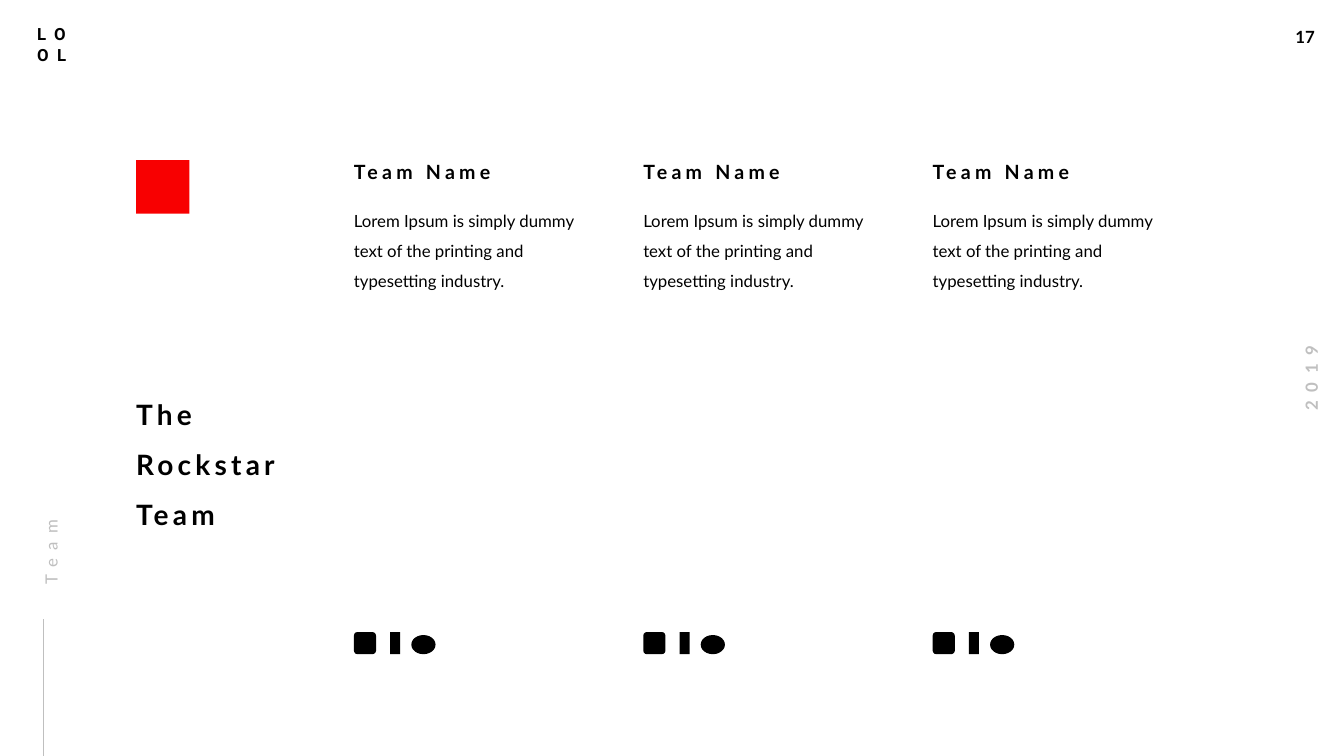
from lxml.etree import SubElement
from pptx import Presentation
from pptx.dml.color import RGBColor
from pptx.enum.shapes import MSO_CONNECTOR as Connector, MSO_SHAPE as Shape
from pptx.enum.text import MSO_ANCHOR as Anchor, MSO_AUTO_SIZE as AutoSize, PP_ALIGN as Align
from pptx.oxml.ns import qn
from pptx.util import Inches, Pt

BLACK = RGBColor(0x00, 0x00, 0x00)
WHITE = RGBColor(0xFF, 0xFF, 0xFF)
GRAY = RGBColor(0xBF, 0xBF, 0xBF)
RED = RGBColor(0xF8, 0x00, 0x01)

MASTER_INSETS = (0.1, 0.05, 0.1, 0.05)
CONTENT_INSETS = (0, 0, 0.1, 0)
COLUMN_LEFT = 3.51
COLUMN_PITCH = 2.87
MEMBERS = ["Team Name"] * 3
PROFILE = "Lorem Ipsum is simply dummy text of the printing and typesetting industry."
SOCIAL_MARKS = [
    (Shape.ROUNDED_RECTANGLE, 0, 6.27, 0.22, 0.22),
    (Shape.RECTANGLE, 0.36, 6.27, 0.1, 0.22),
    (Shape.OVAL, 0.57, 6.3, 0.24, 0.19),
]


def set_all(target, values):
    for name, value in values.items():
        setattr(target, name, value)


def place(shape, box):
    sides = ("left", "top", "width", "height")
    set_all(shape, dict(zip(sides, map(Inches, box))))


def write(frame, lines, size, color=BLACK, bold=False, font="Lato", tracking=0,
          insets=CONTENT_INSETS, wrap=True, **paragraph_format):
    margins = ("margin_left", "margin_top", "margin_right", "margin_bottom")
    set_all(frame, dict(zip(margins, map(Inches, insets))))
    set_all(frame, {"word_wrap": wrap, "auto_size": AutoSize.SHAPE_TO_FIT_TEXT,
                    "vertical_anchor": Anchor.TOP})
    for index, line in enumerate(lines):
        paragraph = frame.add_paragraph() if index else frame.paragraphs[0]
        set_all(paragraph, {"alignment": Align.LEFT, **paragraph_format})
        run = paragraph.add_run()
        run.text = line
        set_all(run.font, {"name": font, "size": Pt(size), "bold": bold})
        run.font.color.rgb = color
        if tracking:
            run._r.get_or_add_rPr().set("spc", str(tracking * 100))


def add_text(slide, box, lines, size, rotation=0, **text_format):
    label = slide.shapes.add_textbox(*map(Inches, box))
    label.rotation = rotation
    write(label.text_frame, lines, size, **text_format)


def add_block(slide, kind, box, color):
    block = slide.shapes.add_shape(kind, *map(Inches, box))
    block.shadow.inherit = False
    block.fill.solid()
    block.fill.fore_color.rgb = color
    block.line.fill.background()


def add_rule(slide, start, end):
    rule = slide.shapes.add_connector(Connector.STRAIGHT, *map(Inches, start + end))
    rule.line.color.rgb = GRAY
    rule.line.width = Pt(0.5)
    SubElement(rule._element.spPr, qn("a:effectLst"))


def add_title(slide, lines):
    title = slide.shapes.title
    place(title, (1.35, 3.94, 1.9, 1.35))
    write(title.text_frame, lines, 20, bold=True, tracking=3, space_before=Pt(12))


def add_member(slide, left, member):
    add_text(slide, (left, 1.59, 2.11, 0.24), [member], 14, bold=True,
             tracking=3, space_before=Pt(12))
    add_text(slide, (left, 1.99, 2.35, 0.87), [PROFILE], 12,
             line_spacing=1.5, space_before=Pt(12))
    for kind, offset, top, width, height in SOCIAL_MARKS:
        add_block(slide, kind, (left + offset, top, width, height), BLACK)


def add_frame(slide):
    add_text(slide, (12.75, 0.22, 0.41, 0.3), ["17"], 12, bold=True,
             insets=MASTER_INSETS, wrap=False)
    add_text(slide, (12.54, 3.6, 0.93, 0.3), ["2019"], 12, rotation=270, color=GRAY,
             bold=True, tracking=6, insets=MASTER_INSETS, wrap=False,
             alignment=Align.CENTER)
    add_text(slide, (0.27, 0.19, 0.59, 0.5), ["LO", "OL"], 12, bold=True,
             font="Roboto", tracking=6, insets=MASTER_INSETS)
    add_rule(slide, (0.43, 7.5), (0.43, 6.14))
    add_text(slide, (-0.49, 4.74, 1.85, 0.26), ["Team"], 12, rotation=270, color=GRAY,
             tracking=6, line_spacing=1.5, space_before=Pt(12))


def main():
    deck = Presentation()
    set_all(deck, {"slide_width": Inches(13.33), "slide_height": Inches(7.5)})
    slide = deck.slides.add_slide(deck.slide_layouts.get_by_name("Title Only"))
    slide.background.fill.solid()
    slide.background.fill.fore_color.rgb = WHITE
    add_frame(slide)
    add_title(slide, ["The", "Rockstar", "Team"])
    for column, member in enumerate(MEMBERS):
        add_member(slide, COLUMN_LEFT + column * COLUMN_PITCH, member)
    add_block(slide, Shape.RECTANGLE, (1.35, 1.59, 0.53, 0.53), RED)
    deck.save("out.pptx")


main()
